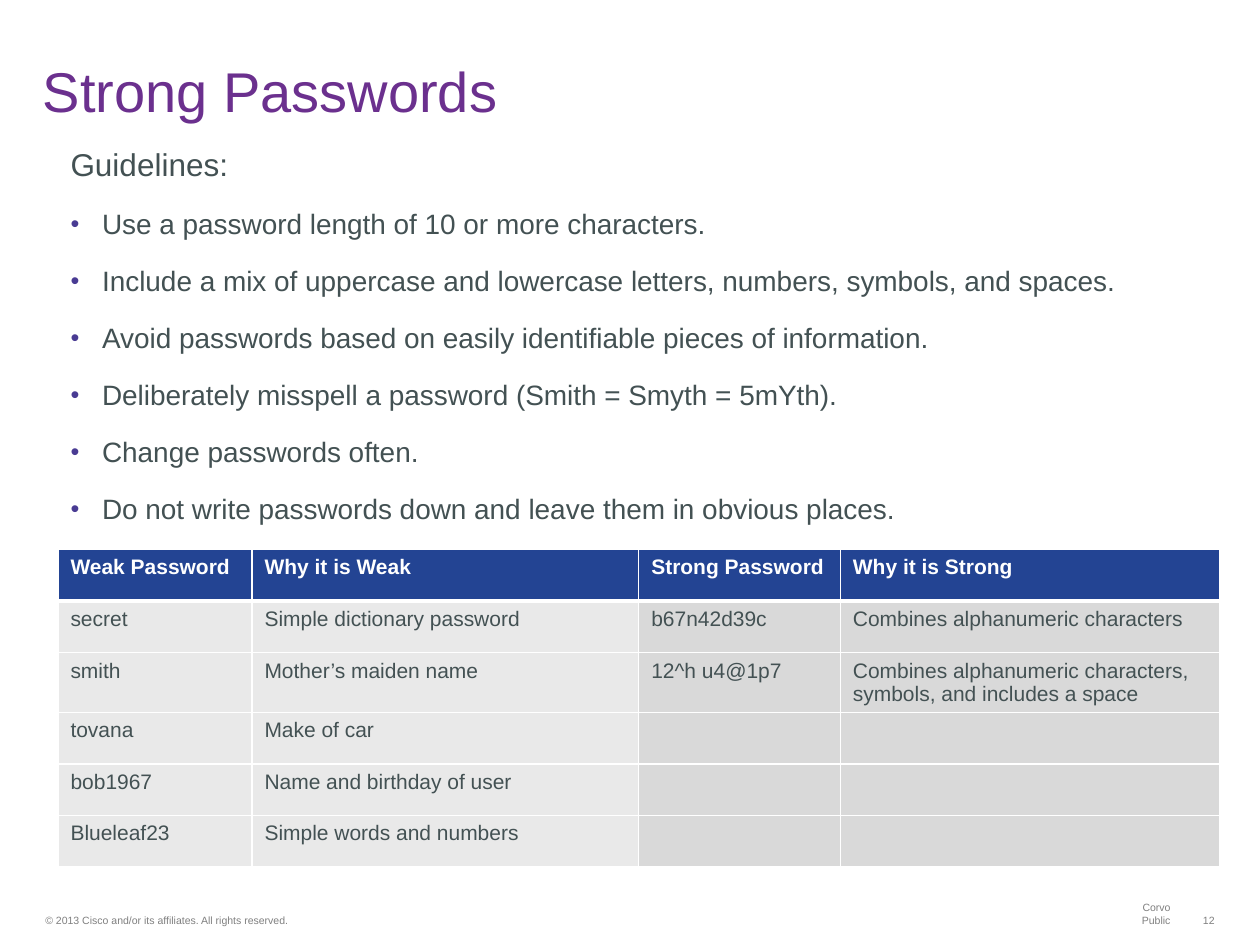
"""Build the Strong Passwords slide with its guidelines and sample table."""
import pptx
import pptx.dml.color
import pptx.enum.text
import pptx.oxml
import pptx.oxml.ns
import pptx.util

RGBColor = pptx.dml.color.RGBColor
Inches = pptx.util.Inches
Pt = pptx.util.Pt
ALIGN = pptx.enum.text.PP_ALIGN
ANCHOR = pptx.enum.text.MSO_ANCHOR
FIT = pptx.enum.text.MSO_AUTO_SIZE

PURPLE = RGBColor(0x6B, 0x30, 0x8E)
SLATE = RGBColor(0x43, 0x51, 0x53)
GRAY = RGBColor(0x80, 0x80, 0x80)
WHITE = RGBColor(0xFF, 0xFF, 0xFF)
NAVY = RGBColor(0x23, 0x44, 0x93)
PALE = RGBColor(0xE9, 0xE9, 0xE9)
SILVER = RGBColor(0xD9, 0xD9, 0xD9)
VIOLET = RGBColor(0x49, 0x3B, 0x93)

TIPS = [
    "Use a password length of 10 or more characters.",
    "Include a mix of uppercase and lowercase letters, numbers, symbols, and spaces.",
    "Avoid passwords based on easily identifiable pieces of information.",
    "Deliberately misspell a password (Smith = Smyth = 5mYth).",
    "Change passwords often.",
    "Do not write passwords down and leave them in obvious places.",
]
ROWS = [
    ("Weak Password", "Why it is Weak", "Strong Password", "Why it is Strong"),
    ("secret", "Simple dictionary password", "b67n42d39c",
     "Combines alphanumeric characters"),
    ("smith", "Mother’s maiden name", "12^h u4@1p7",
     "Combines alphanumeric characters, symbols, and includes a space"),
    ("tovana", "Make of car", "", ""),
    ("bob1967", "Name and birthday of user", "", ""),
    ("Blueleaf23", "Simple words and numbers", "", ""),
]
WIDTHS = [1.54, 3.07, 1.6, 3.01]
NOTES = [
    ("© 2013 Cisco and/or its affiliates. All rights reserved.", 0.27, 3.74, ALIGN.LEFT),
    ("Corvo Public", 8.73, 0.65, ALIGN.RIGHT),
    ("12", 9.45, 0.28, ALIGN.RIGHT),
]


def apply(item, values):
    """Set each named attribute of an object."""
    for name, value in values.items():
        setattr(item, name, value)


def place(shape, left, top, width, height):
    """Move and size a shape, in inches."""
    sides = {"left": left, "top": top, "width": width, "height": height}
    apply(shape, {name: Inches(size) for name, size in sides.items()})


def ink(para, size, color, bold=False):
    """Set the font of a paragraph."""
    apply(para.font, {"name": "Arial", "size": Pt(size), "bold": bold})
    para.font.color.rgb = color


def add_xml(parent, tag, inner="", **attrs):
    """Append a drawing element to a parent."""
    space = pptx.oxml.ns.nsdecls("a")
    pairs = " ".join(f'{name}="{value}"' for name, value in attrs.items())
    parent.append(pptx.oxml.parse_xml(f"<a:{tag} {space} {pairs}>{inner}</a:{tag}>"))


def add_title(slide):
    """Fill the title placeholder."""
    title = slide.shapes.title
    place(title, 0.25, 0.11, 9.39, 0.92)
    frame = title.text_frame
    frame.text = "Strong Passwords"
    apply(frame, {
        "vertical_anchor": ANCHOR.BOTTOM, "auto_size": FIT.NONE, "word_wrap": True,
        "margin_left": Inches(0.09), "margin_right": Inches(0.09),
    })
    para = frame.paragraphs[0]
    para.alignment = ALIGN.LEFT
    ink(para, 32, PURPLE)


def add_list(slide):
    """Fill the body placeholder with a lead line and bullets."""
    body = slide.placeholders[1]
    place(body, 0.46, 1.12, 9.54, 3.16)
    frame = body.text_frame
    frame.text = "\n".join(["Guidelines:"] + TIPS)
    apply(frame, {"auto_size": FIT.NONE, "word_wrap": True, "vertical_anchor": ANCHOR.TOP})
    for rank, para in enumerate(frame.paragraphs):
        apply(para, {
            "line_spacing": 0.95, "space_before": Pt(14.4 if rank else 0),
            "space_after": Pt(0), "alignment": ALIGN.LEFT,
        })
        props = para._p.get_or_add_pPr()
        indent = Inches(0.25) if rank else 0
        props.set("marL", str(indent))
        props.set("indent", str(-indent))
        if rank:
            add_xml(props, "buClr", f'<a:srgbClr val="{VIOLET}"/>')
            add_xml(props, "buSzPct", val=90000)
            add_xml(props, "buFont", typeface="Arial")
            add_xml(props, "buChar", char="•")
        else:
            add_xml(props, "buNone")
        ink(para, 16 if rank else 18, SLATE)


def add_edges(cell, row):
    """Draw white borders, thicker below the header."""
    thick = {(0, "B"), (1, "T")}
    for side in "LRTB":
        width = Pt(3 if (row, side) in thick else 1)
        line = f'<a:solidFill><a:srgbClr val="{WHITE}"/></a:solidFill>'
        add_xml(cell._tc.get_or_add_tcPr(), f"ln{side}", line, w=width)


def add_grid(slide):
    """Add the table of weak and strong passwords."""
    table = slide.shapes.add_table(
        len(ROWS), len(WIDTHS), Inches(0.46), Inches(4.36),
        Inches(sum(WIDTHS)), Inches(0.41 * len(ROWS))).table
    for column, width in zip(table.columns, WIDTHS):
        column.width = Inches(width)
    for row, texts in enumerate(ROWS):
        table.rows[row].height = Inches(0.41)
        for col, text in enumerate(texts):
            cell = table.cell(row, col)
            cell.text = text
            ink(cell.text_frame.paragraphs[0], 12, SLATE if row else WHITE, not row)
            add_edges(cell, row)
            cell.fill.solid()
            shade = PALE if col < 2 else SILVER
            cell.fill.fore_color.rgb = shade if row else NAVY


def add_note(slide, text, left, width, align):
    """Add one small footer text."""
    box = slide.shapes.add_textbox(0, 0, 0, 0)
    place(box, left, 7.2, width, 0.19)
    frame = box.text_frame
    frame.text = text
    apply(frame, {
        "margin_left": Inches(0.09), "margin_right": Inches(0.09),
        "margin_top": Inches(0.04), "margin_bottom": Inches(0.04),
        "vertical_anchor": ANCHOR.BOTTOM, "auto_size": FIT.SHAPE_TO_FIT_TEXT,
        "word_wrap": align == ALIGN.LEFT,
    })
    para = frame.paragraphs[0]
    para.alignment = align
    ink(para, 6, GRAY)


def main():
    """Build and save the slide."""
    deck = pptx.Presentation()
    apply(deck, {"slide_width": Inches(10), "slide_height": Inches(7.5)})
    slide = deck.slides.add_slide(deck.slide_layouts[1])
    add_title(slide)
    add_list(slide)
    add_grid(slide)
    for note in NOTES:
        add_note(slide, *note)
    deck.save("out.pptx")


if __name__ == "__main__":
    main()
